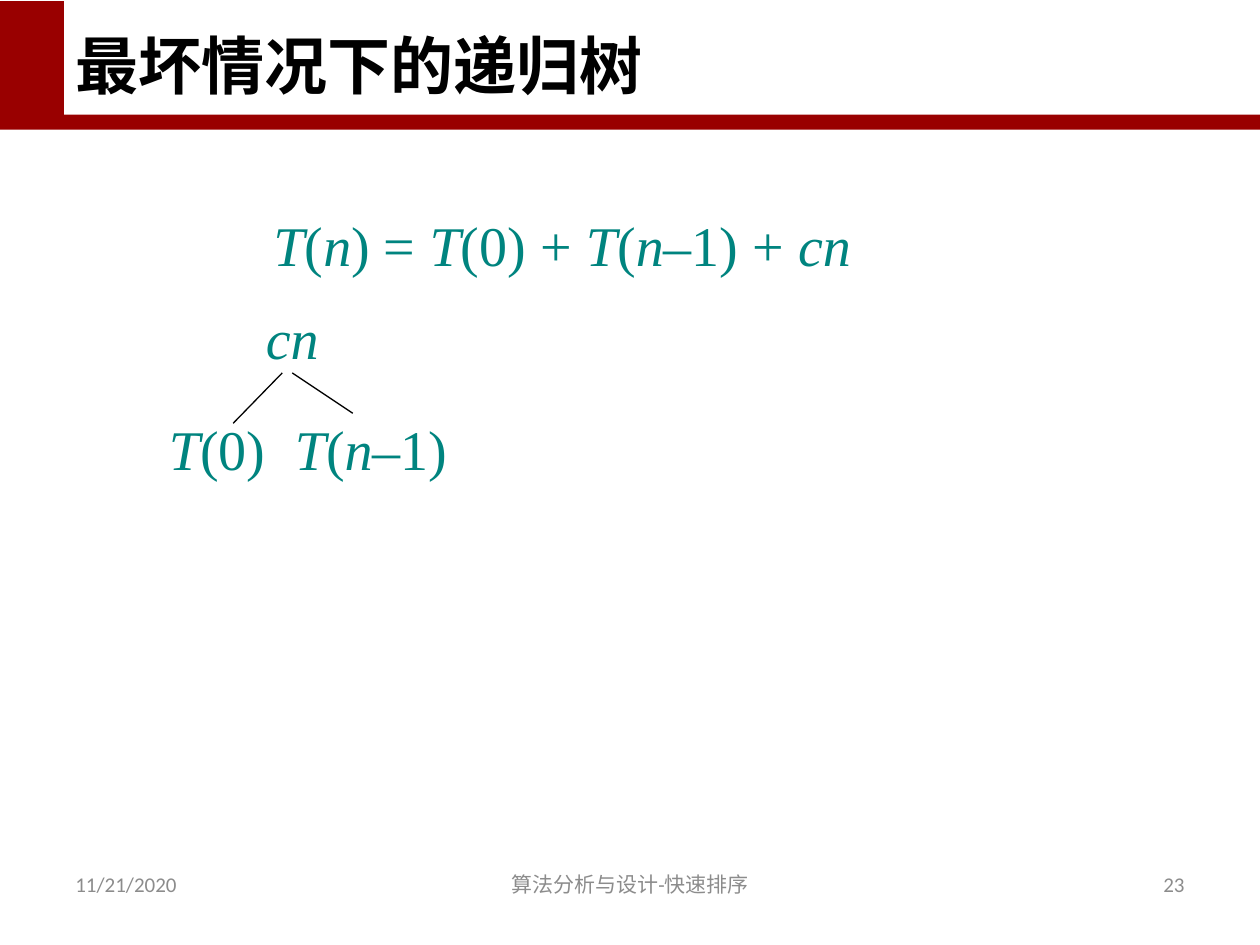
import dataclasses

import lxml.etree
import pptx
import pptx.dml.color
import pptx.enum.shapes
import pptx.enum.text
import pptx.oxml.ns
import pptx.util

In, Pt = pptx.util.Inches, pptx.util.Pt
qn = pptx.oxml.ns.qn
ALIGN, ANCHOR = pptx.enum.text.PP_ALIGN, pptx.enum.text.MSO_ANCHOR


@dataclasses.dataclass(frozen=True)
class Theme:
    """Colours, fonts and type sizes of the slide."""
    band: str = "990000"
    paper: str = "FFFFFF"
    ink: str = "000000"
    math: str = "00847F"
    muted: str = "8C8C8C"
    cjk: str = "Noto Sans CJK SC"
    serif: str = "Times New Roman"
    sans: str = "Calibri"
    title_pt: int = 36
    math_pt: int = 32
    footer_pt: int = 12


T = Theme()


def rgb(value):
    """Turn a hex string into a colour."""
    return pptx.dml.color.RGBColor.from_string(value)


def add_run(p, text, font, size, color, bold=False, italic=False):
    """Add one formatted run to a paragraph."""
    r = p.add_run()
    r.text = text
    f = r.font
    f.name, f.size, f.bold, f.italic = font, Pt(size), bold, italic
    f.color.rgb = rgb(color)


def add_math(p, *parts):
    """Add runs that alternate between italic and upright."""
    for i, text in enumerate(parts):
        add_run(p, text, T.serif, T.math_pt, T.math, italic=i % 2 == 0)


def add_box(s, box, inset=(0, 0), anchor=ANCHOR.TOP):
    """Add a wrapping text box and return its text frame."""
    tf = s.shapes.add_textbox(*map(In, box)).text_frame
    tf.word_wrap = True
    tf.vertical_anchor = anchor
    tf.margin_left = tf.margin_right = In(inset[0])
    tf.margin_top = tf.margin_bottom = In(inset[1])
    return tf


def header(s, box, text):
    """Draw the red band with its white panel and the title."""
    x, y, w, h = box
    title = s.shapes.title
    bars = (((x, y, w, h), T.band),
            ((x + 0.51, 0, w - 0.51, 0.91), T.paper))
    for bar, color in bars:
        sp = s.shapes.add_shape(pptx.enum.shapes.MSO_SHAPE.RECTANGLE, *map(In, bar))
        sp.shadow.inherit = False
        sp.fill.solid()
        sp.fill.fore_color.rgb = rgb(color)
        sp.line.fill.background()
        title.element.addprevious(sp.element)
    title.left, title.top, title.width, title.height = map(In, (x + 0.5, 0.14, w - 1, 0.72))
    tf = title.text_frame
    tf.auto_size = pptx.enum.text.MSO_AUTO_SIZE.NONE
    tf.vertical_anchor = ANCHOR.BOTTOM
    p = tf.paragraphs[0]
    p.alignment = ALIGN.LEFT
    add_run(p, text, T.cjk, T.title_pt, T.ink, bold=True)
    for rpr in title.element.iter(qn("a:rPr")):
        lxml.etree.SubElement(rpr, qn("a:ea")).set("typeface", T.cjk)


def recurrence(s, box):
    """Write the worst-case recurrence."""
    p = add_box(s, box).paragraphs[0]
    add_math(p, "T", "(", "n", ") = ", "T", "(0) + ", "T", "(", "n", "–1) + ", "cn")


def recursion_tree(s, box):
    """Draw the root, its two children and the branches between them."""
    x, y, w, h = box
    tf = add_box(s, box)
    root = tf.paragraphs[0]
    ppr = root._p.get_or_add_pPr()
    ppr.set("marL", str(In(0.77)))
    ppr.set("indent", "0")
    add_math(root, "cn")
    children = tf.add_paragraph()
    children.space_before = Pt(25)
    add_math(children, "T", "(0)\t", "T", "(", "n", "–1)")
    for x1, x2, y2 in ((0.9, 0.51, 0.95), (0.98, 1.46, 0.87)):
        branch = s.shapes.add_connector(
            pptx.enum.shapes.MSO_CONNECTOR.STRAIGHT,
            In(x + x1), In(y + 0.55), In(x + x2), In(y + y2))
        branch.line.color.rgb = rgb(T.ink)
        branch.line.width = Pt(0.75)
        lxml.etree.SubElement(branch.element.spPr, qn("a:effectLst"))


def footer(s, box, date, topic, number):
    """Place the date, topic and slide number along the bottom."""
    x, y, w, h = box
    side, middle = 2.33, 3.78
    cells = ((x, side, date, ALIGN.LEFT),
             (x + (w - middle) / 2, middle, topic, ALIGN.CENTER),
             (x + w - side, side, number, ALIGN.RIGHT))
    for left, width, text, align in cells:
        p = add_box(s, (left, y, width, h), (0.1, 0.05), ANCHOR.MIDDLE).paragraphs[0]
        p.alignment = align
        add_run(p, text, T.sans, T.footer_pt, T.muted)


def main():
    """Build and save the slide."""
    prs = pptx.Presentation()
    prs.slide_width, prs.slide_height = In(10), In(7.5)
    s = prs.slides.add_slide(prs.slide_layouts[5])
    header(s, (0, 0.01, 10, 1.02), "最坏情况下的递归树")
    recurrence(s, (2.17, 1.67, 6.22, 0.52))
    recursion_tree(s, (1.34, 2.41, 3.19, 1.4))
    footer(s, (0.5, 6.82, 9, 0.4), "11/21/2020", "算法分析与设计-快速排序", "23")
    prs.save("out.pptx")


main()
